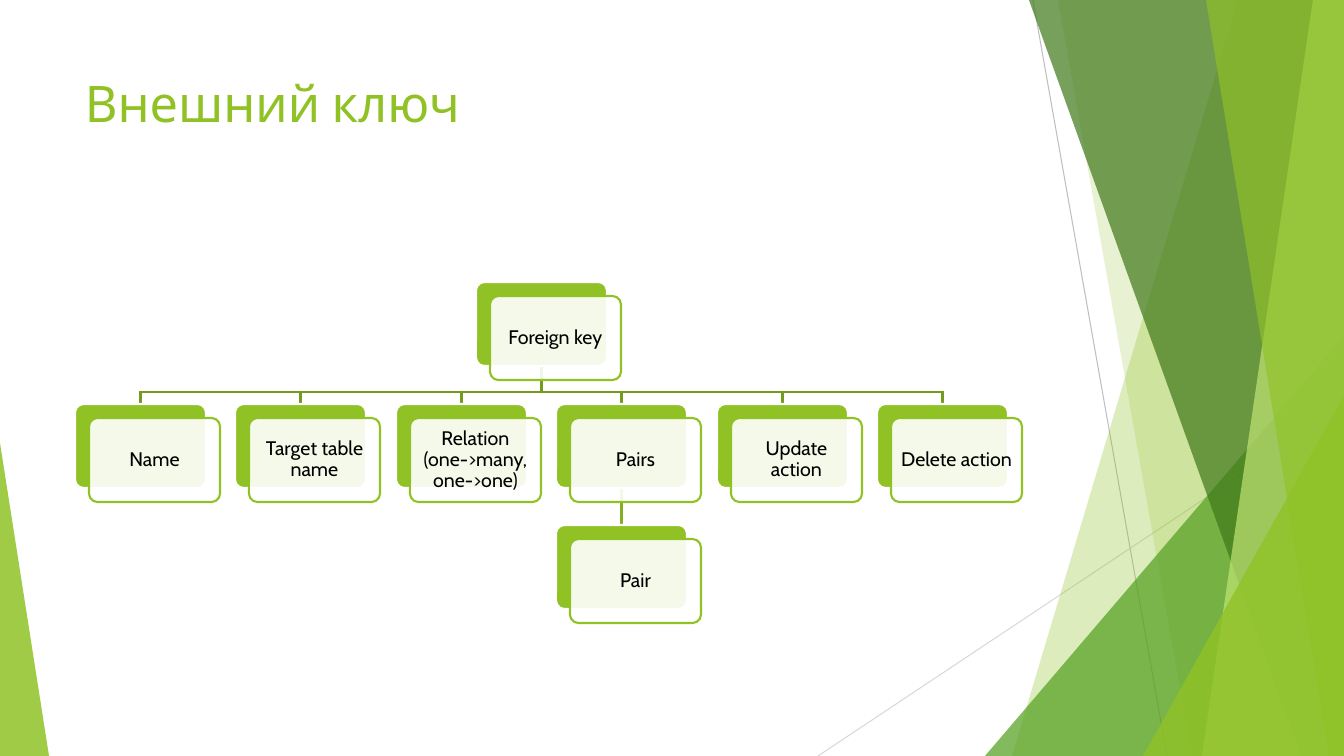
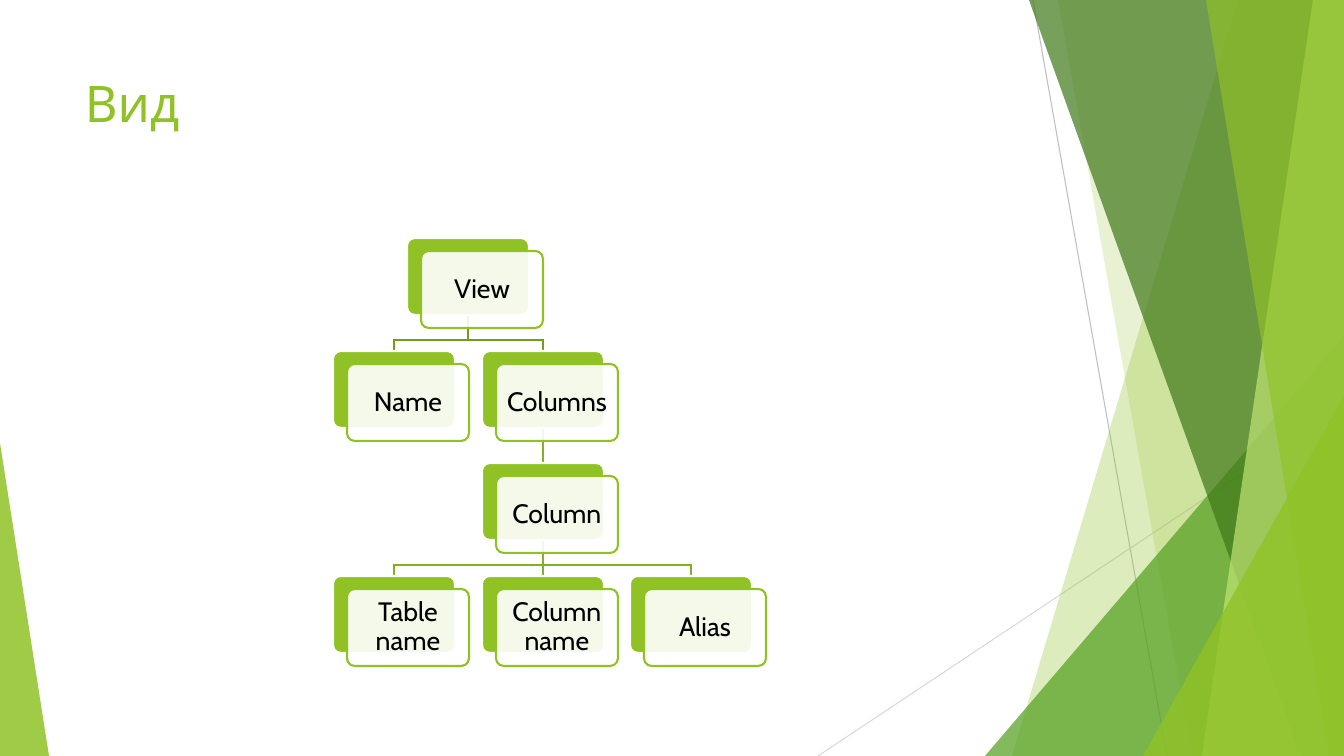
import pptx
import pptx.util
import pptx.dml.color
import pptx.enum.shapes
import pptx.enum.text
import pptx.oxml.ns
import lxml.etree

W, H = 1344, 756
SCALE = 12192000 / W
FONT = "Cabin"
COLORS = {
    "green": "90C226", "leaf": "54A021", "forest": "3F7819", "lime": "C0E474",
    "link": "739B1E", "sublink": "83B022", "gray": "BFBFBF", "silver": "D9D9D9",
    "white": "FFFFFF", "black": "000000",
}
RGB = {name: pptx.dml.color.RGBColor.from_string(c) for name, c in COLORS.items()}
MSO = pptx.enum.shapes.MSO_SHAPE
ALIGN = pptx.enum.text.PP_ALIGN
ANCHOR = pptx.enum.text.MSO_ANCHOR
qn = pptx.oxml.ns.qn

RAYS = [((1033, 0, 1167, H), "gray"), ((W, 406, 818, H), "silver")]
FACETS = [
    ("band", (1238, 1012), "green", 30),
    ("band", (1058, 1192), "green", 20),
    ("triangle", (985, 336, 359, 420, 1), "leaf", 72),
    ("band", (1029, 1301), "forest", 70),
    ("band", (1313, 1202), "lime", 70),
    ("band", (1206, 1329), "green", 65),
    ("triangle", (1143, 396, 201, 360, 1), "green", 80),
    ("triangle", (0, 443, 49, 313, 0), "green", 85),
]

SLIDES = [
    {
        "title": "Внешний ключ", "size": 14, "inset": 6, "card": (131, 84), "shift": (14, 14),
        "left": 75, "right": 877, "cols": 5, "top": 282, "bottom": 525, "rows": 2, "rise": 12,
        "nodes": [
            ("Foreign key", 2.5, 0, None),
            ("Name", 0, 1, 0),
            ("Target table name", 1, 1, 0),
            ("Relation (one->many, one->one)", 2, 1, 0),
            ("Pairs", 3, 1, 0),
            ("Pair", 3, 2, 4),
            ("Update action", 4, 1, 0),
            ("Delete action", 5, 1, 0),
        ],
    },
    {
        "title": "Вид", "size": 19, "inset": 8, "card": (122, 77), "shift": (14, 13),
        "left": 333, "right": 630, "cols": 2, "top": 238, "bottom": 576, "rows": 3, "rise": 11,
        "nodes": [
            ("View", 0.5, 0, None),
            ("Name", 0, 1, 0),
            ("Columns", 1, 1, 0),
            ("Column", 1, 2, 2),
            ("Table name", 0, 3, 3),
            ("Column name", 1, 3, 3),
            ("Alias", 2, 3, 3),
        ],
    },
]


def paint(sp, fill, alpha=100, line=None):
    sp.shadow.inherit = False
    sp.fill.solid()
    sp.fill.fore_color.rgb = RGB[fill]
    if alpha < 100:
        clr = sp.fill._xPr.find(qn("a:solidFill"))[0]
        lxml.etree.SubElement(clr, qn("a:alpha")).set("val", str(alpha * 1000))
    if line:
        sp.line.color.rgb = RGB[line]
        sp.line.width = pptx.util.Pt(1.5)
    else:
        sp.line.fill.background()


def draw_line(s, ends, color, width):
    cn = s.shapes.add_connector(pptx.enum.shapes.MSO_CONNECTOR.STRAIGHT,
                                *[round(v * SCALE) for v in ends])
    cn.line.color.rgb = RGB[color]
    cn.line.width = pptx.util.Pt(width)
    cn.line._get_or_add_ln().set("cap", "sq")
    lxml.etree.SubElement(cn._element.spPr, qn("a:effectLst"))
    return cn


prs = pptx.Presentation()
prs.slide_width = round(W * SCALE)
prs.slide_height = round(H * SCALE)

for d in SLIDES:
    s = prs.slides.add_slide(prs.slide_layouts[6])

    for ends, color in RAYS:
        draw_line(s, ends, color, 0.75)
    for kind, geometry, color, alpha in FACETS:
        if kind == "band":
            x_top, x_bottom = geometry
            fb = s.shapes.build_freeform(x_top, 0, scale=SCALE)
            fb.add_line_segments([(W, 0), (W, H), (x_bottom, H)], close=True)
            sp = fb.convert_to_shape()
        else:
            sp = s.shapes.add_shape(MSO.ISOSCELES_TRIANGLE,
                                    *[round(v * SCALE) for v in geometry[:4]])
            sp.adjustments[0] = geometry[4]
        paint(sp, color, alpha)

    tb = s.shapes.add_textbox(*[round(v * SCALE) for v in (75, 67, 948, 145)])
    tf = tb.text_frame
    tf.word_wrap = True
    tf.text = d["title"]
    r = tf.paragraphs[0].runs[0]
    r.font.name = FONT
    r.font.size = pptx.util.Pt(36)
    r.font.color.rgb = RGB["green"]

    w, h = d["card"]
    dx, dy = d["shift"]
    spots = [(round(d["left"] + (d["right"] - d["left"]) * col / d["cols"]),
              round(d["top"] + (d["bottom"] - d["top"]) * row / d["rows"]))
             for text, col, row, parent in d["nodes"]]

    begins, ends = [], []
    for i, (x, y) in enumerate(spots):
        kids = [k for k, node in enumerate(d["nodes"]) if node[3] == i]
        if not kids:
            continue
        color = "link" if i == 0 else "sublink"
        mid = x + w / 2
        kid_top = spots[kids[0]][1]
        if len(kids) == 1:
            cn = draw_line(s, (mid, y + h, mid, kid_top), color, 1.5)
            begins.append((cn, i))
            ends.append((cn, kids[0]))
            continue
        bus = kid_top - d["rise"]
        begins.append((draw_line(s, (mid, y + h, mid, bus), color, 1.5), i))
        kid_mids = [spots[k][0] + w / 2 for k in kids]
        draw_line(s, (min(kid_mids), bus, max(kid_mids), bus), color, 1.5)
        for k, kid_mid in zip(kids, kid_mids):
            ends.append((draw_line(s, (kid_mid, bus, kid_mid, kid_top), color, 1.5), k))

    backs = []
    for (text, col, row, parent), (x, y) in zip(d["nodes"], spots):
        for left, top, fill, alpha, line in ((x, y, "green", 100, "white"),
                                             (x + dx, y + dy, "white", 90, "green")):
            sp = s.shapes.add_shape(MSO.ROUNDED_RECTANGLE,
                                    *[round(v * SCALE) for v in (left, top, w, h)])
            sp.adjustments[0] = 0.1
            paint(sp, fill, alpha, line)
            if fill == "green":
                backs.append(sp)
        tf = sp.text_frame
        tf.word_wrap = True
        tf.vertical_anchor = ANCHOR.MIDDLE
        tf.margin_left = tf.margin_right = round(d["inset"] * SCALE)
        tf.margin_top = tf.margin_bottom = round(d["inset"] * SCALE)
        tf.text = text
        p = tf.paragraphs[0]
        p.alignment = ALIGN.CENTER
        p.line_spacing = 0.9
        r = p.runs[0]
        r.font.name = FONT
        r.font.size = pptx.util.Pt(d["size"])
        r.font.color.rgb = RGB["black"]

    for cn, i in begins:
        cn.begin_connect(backs[i], 2)
    for cn, i in ends:
        cn.end_connect(backs[i], 0)

prs.save("out.pptx")
